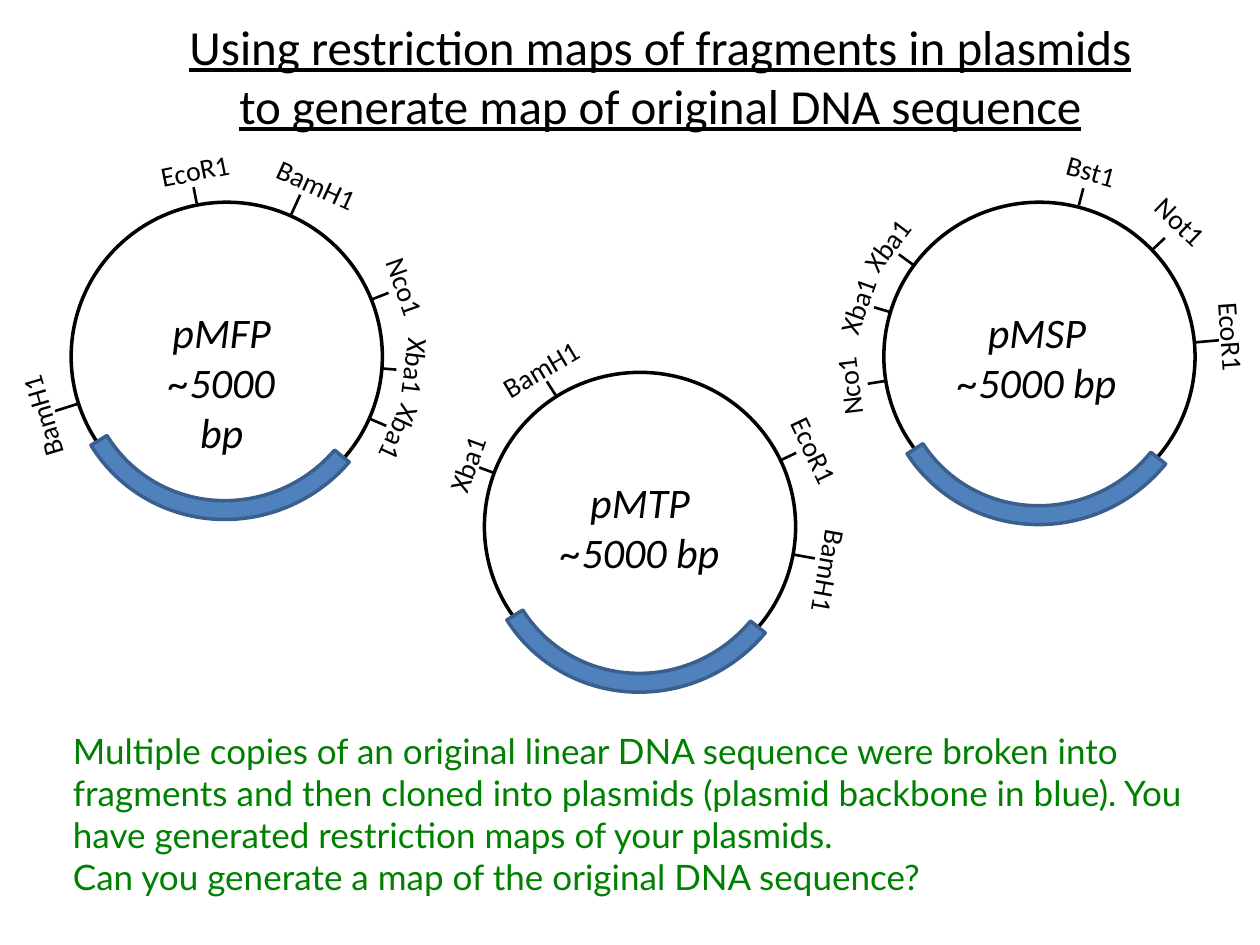
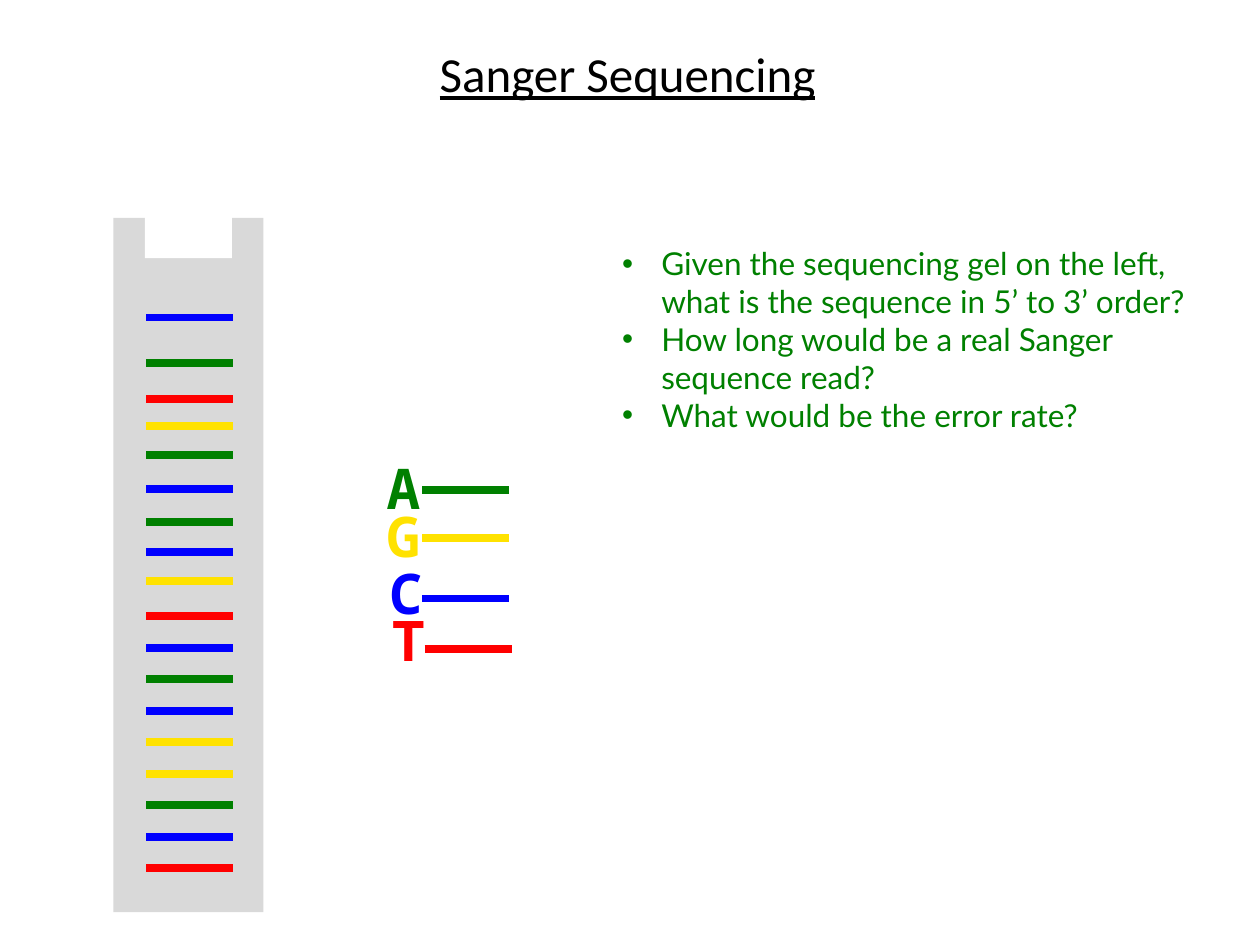
from math import cos, radians, sin

from lxml import etree
from pptx import Presentation
from pptx.dml.color import RGBColor
from pptx.enum.shapes import MSO_CONNECTOR, MSO_SHAPE
from pptx.enum.text import MSO_AUTO_SIZE, PP_ALIGN
from pptx.oxml.ns import qn
from pptx.util import Inches, Pt

STRAIGHT = MSO_CONNECTOR.STRAIGHT
OVAL, RECT, ARC = MSO_SHAPE.OVAL, MSO_SHAPE.RECTANGLE, MSO_SHAPE.BLOCK_ARC
LEFT, CENTER = PP_ALIGN.LEFT, PP_ALIGN.CENTER
GROW = MSO_AUTO_SIZE.SHAPE_TO_FIT_TEXT

BLACK = RGBColor(0, 0, 0)
WHITE = RGBColor(255, 255, 255)
GRAY = RGBColor(0xD9, 0xD9, 0xD9)
BLUE = RGBColor(0x4F, 0x81, 0xBD)
EDGE = RGBColor(0x3A, 0x5F, 0x8C)
GREEN = RGBColor(0, 0x80, 0)
BASES = {"A": GREEN, "G": RGBColor(0xFF, 0xE2, 0),
         "C": RGBColor(0, 0, 255), "T": RGBColor(255, 0, 0)}

SERIF, BODY, MONO = "Calibri", "Lato", "Noto Sans Mono"

# Slide 1: plasmids
MAP_TITLE = ["Using restriction maps of fragments in plasmids",
             "to generate map of original DNA sequence"]
MAP_TEXT = [
    "Multiple copies of an original linear DNA sequence were broken into "
    "fragments and then cloned into plasmids (plasmid backbone in blue). "
    "You have generated restriction maps of your plasmids.",
    "Can you generate a map of the original DNA sequence?"]
SIZE = "~5000 bp"
RING_W, RING_H, RADIUS = 2.47, 2.45, 1.24
ARC_W, ARC_H = 2.55, 2.49
ARC_ADJ = (150.18, 215.53, 0.06)
TAG_H = 0.37
TAG_W = {"EcoR1": 0.76, "BamH1": 0.86, "Nco1": 0.67,
         "Xba1": 0.66, "Not1": 0.65, "Bst1": 0.6}

# Each site: enzyme, tick angle, tick length, tag angle, tag radius, tag turn.
# Angles run clockwise from the top of the ring.
PLASMIDS = [
    {"name": "pMFP", "mid": (1.8, 2.83), "text": (1.76, 1.2),
     "arc": (0.01, 0.04, 149.4), "sites": [
         ("EcoR1", 348.9, 0.13, 350.6, 1.5, 348.8),
         ("BamH1", 24.4, 0.17, 27.7, 1.54, 24.5),
         ("Nco1", 68.5, 0.14, 68.8, 1.52, 70.5),
         ("Xba1", 94.4, 0.11, 93.4, 1.5, 97),
         ("Xba1", 113.5, 0.14, 114.1, 1.5, 114.7),
         ("BamH1", 252.4, 0.19, 252.2, 1.54, 253.6)]},
    {"name": "pMTP", "mid": (5.08, 4.18), "text": (5.08, 1.56),
     "arc": (0.02, 0.06, 148.5), "sites": [
         ("EcoR1", 64.7, 0.13, 66.6, 1.51, 64.7),
         ("BamH1", 100.3, 0.17, 103.5, 1.54, 100.3),
         ("Xba1", 290.2, 0.12, 290, 1.46, 290.2),
         ("BamH1", 327.3, 0.13, 327.9, 1.48, 329.5)]},
    {"name": "pMSP", "mid": (8.25, 2.83), "text": (8.23, 1.56),
     "arc": (0.02, 0.08, 147.9), "sites": [
         ("Bst1", 14.6, 0.14, 15.8, 1.53, 15.3),
         ("Not1", 46.6, 0.13, 46.3, 1.55, 44.1),
         ("EcoR1", 84.8, 0.19, 84.4, 1.53, 86),
         ("Nco1", 261, 0.14, 261.3, 1.53, 262.9),
         ("Xba1", 286.6, 0.13, 285.8, 1.5, 289.5),
         ("Xba1", 306, 0.14, 306.4, 1.5, 307.1)]},
]

# Slide 2: gel
GEL_TITLE = ["Sanger Sequencing"]
ASKS = ["Given the sequencing gel on the left, what is the sequence in "
        "5\u2019 to 3\u2019 order?",
        "How long would be a real Sanger sequence read?",
        "What would be the error rate?"]
READ = "CATGACACGTCACGGACT"
EVEN = [4.89 + 0.25 * i for i in range(9)]
ROWS = [2.52, 2.88, 3.17, 3.38, 3.61, 3.88, 4.14, 4.38, 4.61] + EVEN
BAND_X, BAND_W = 1.16, 0.69
# Key: base, letter left, letter top, band left, band height on the slide
KEY = [("A", 2.97, 3.55, 3.35, 3.89), ("G", 2.97, 3.93, 3.35, 4.27),
       ("C", 2.99, 4.38, 3.35, 4.75), ("T", 3.01, 4.76, 3.37, 5.15)]


def inch(*vals):
    """Turn numbers into lengths."""
    return [Inches(v) for v in vals]


def polar(mid, deg, rad):
    """Give the point at an angle and radius around a centre."""
    turn = radians(deg)
    return mid[0] + rad * sin(turn), mid[1] - rad * cos(turn)


def write(home, box, lines, size, font=SERIF, color=BLACK, align=LEFT,
          wrap=False, turn=0, bullet=False, **style):
    """Add a text box with one paragraph for each line."""
    shape = home.add_textbox(*inch(*box))
    shape.rotation = turn
    frame = shape.text_frame
    frame.word_wrap = wrap
    frame.auto_size = GROW
    for i, line in enumerate(lines):
        para = frame.add_paragraph() if i else frame.paragraphs[0]
        para.alignment = align
        run = para.add_run()
        run.text = line
        run.font.size, run.font.name = Pt(size), font
        run.font.color.rgb = color
        for key, val in style.items():
            setattr(run.font, key, val)
        if bullet:
            props = para._p.get_or_add_pPr()
            props.set("marL", str(Inches(0.31)))
            props.set("indent", str(-Inches(0.31)))
            face = etree.SubElement(props, qn("a:buFont"))
            face.set("typeface", "Arial")
            etree.SubElement(props, qn("a:buChar")).set("char", "\u2022")


def title(slide, box, lines):
    """Add the underlined heading."""
    write(slide.shapes, box, lines, 28, align=CENTER, underline=True)


def line(home, start, end, color, width):
    """Add a straight line without a shadow."""
    link = home.add_connector(STRAIGHT, *inch(*start, *end))
    link.line.color.rgb, link.line.width = color, Pt(width)
    etree.SubElement(link._element.spPr, qn("a:effectLst"))


def band(home, left, top, base):
    """Add one gel band in the colour of its base."""
    line(home, (left, top), (left + BAND_W, top), BASES[base], 4.5)


def form(home, kind, box, fill=None, edge=None, turn=0, adj=()):
    """Add a plain preset shape."""
    shape = home.add_shape(kind, *inch(*box))
    shape.shadow.inherit = False
    shape.rotation = turn
    for i, val in enumerate(adj):
        shape.adjustments[i] = val
    if fill is None:
        shape.fill.background()
    else:
        shape.fill.solid()
        shape.fill.fore_color.rgb = fill
    if edge is None:
        shape.line.fill.background()
    else:
        shape.line.color.rgb, shape.line.width = edge, Pt(2)


def around(x, y, wide, high):
    """Give the box centred on a point."""
    return x - wide / 2, y - high / 2, wide, high


def plasmid(slide, data):
    """Draw a ring with its name, cut sites and backbone."""
    home = slide.shapes.add_group_shape().shapes
    mid = data["mid"]
    form(home, OVAL, around(*mid, RING_W, RING_H), edge=BLACK)
    x, wide = data["text"]
    write(home, (x - wide / 2, mid[1] - 0.45, wide, 0.91),
          [data["name"], SIZE], 24, align=CENTER, wrap=True, italic=True)
    for name, deg, size, tag, rad, turn in data["sites"]:
        line(home, polar(mid, deg, RADIUS), polar(mid, deg, RADIUS + size),
             BLACK, 1.5)
        write(home, around(*polar(mid, tag, rad), TAG_W[name], TAG_H),
              [name], 16, turn=turn)
    dx, dy, turn = data["arc"]
    form(home, ARC, around(mid[0] + dx, mid[1] + dy, ARC_W, ARC_H),
         BLUE, EDGE, turn, ARC_ADJ)


def maps(slide):
    """Build the restriction map slide."""
    title(slide, (1.35, 0.08, 7.78, 1.04), MAP_TITLE)
    for data in PLASMIDS:
        plasmid(slide, data)
    write(slide.shapes, (0.48, 5.74, 9.39, 1.45), MAP_TEXT, 20, BODY, GREEN,
          wrap=True)


def gel(slide):
    """Build the sequencing gel slide."""
    home = slide.shapes
    form(home, RECT, (0.9, 1.73, 1.19, 5.51), GRAY)
    form(home, RECT, (1.15, 1.71, 0.69, 0.34), WHITE)
    for base, top in zip(READ, ROWS):
        band(home, BAND_X, top, base)
    for base, x, y, left, top in KEY:
        write(home, (x, y, 0.47, 0.64), [base], 32, MONO, BASES[base],
              bold=True)
        band(home, left, top, base)
    title(slide, (3.37, 0.3, 3.22, 0.57), GEL_TITLE)
    write(home, (4.84, 1.89, 4.83, 1.92), ASKS, 18, BODY, GREEN,
          wrap=True, bullet=True)


deck = Presentation()
deck.slide_width, deck.slide_height = inch(10, 7.5)
for build in (maps, gel):
    build(deck.slides.add_slide(deck.slide_layouts[6]))
deck.save("out.pptx")
